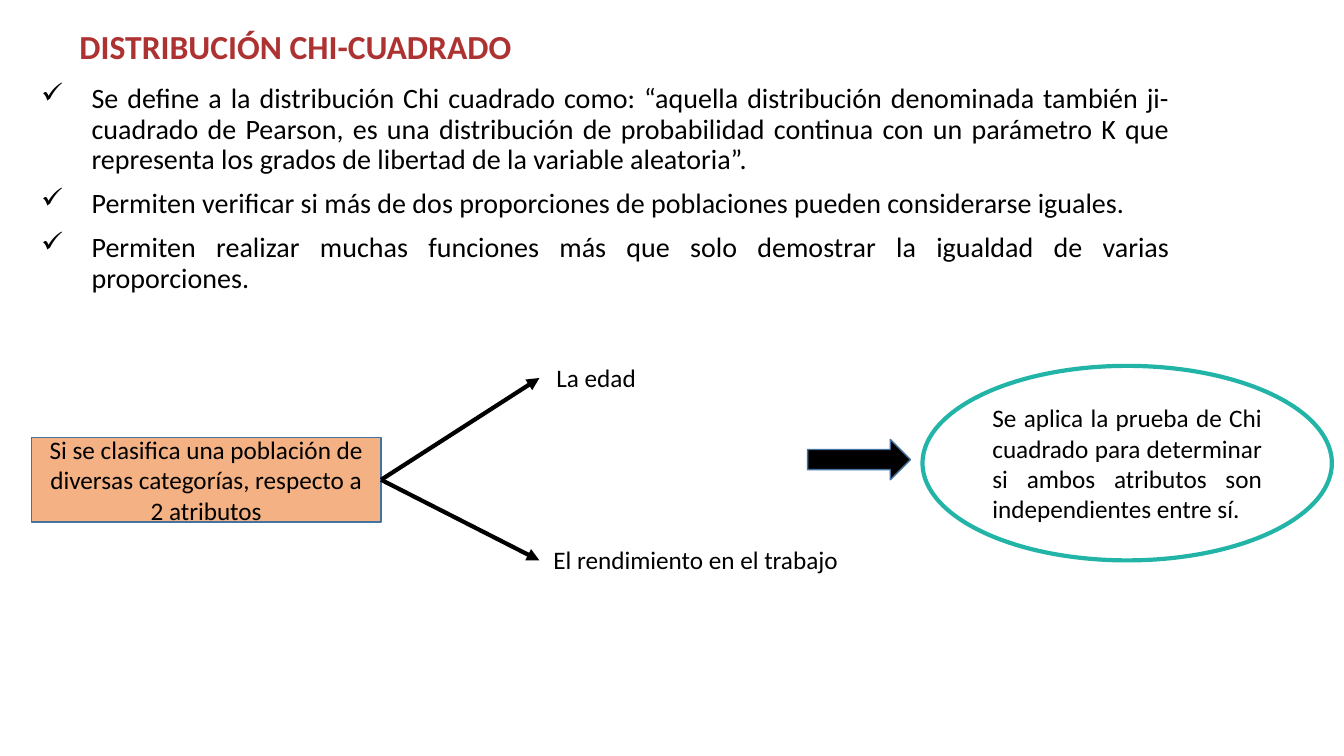
"""Build the slide on the chi-squared distribution."""
from lxml.etree import SubElement
from pptx import Presentation
from pptx.dml.color import RGBColor
from pptx.enum.shapes import MSO_CONNECTOR as Connector, MSO_SHAPE as Preset
from pptx.enum.text import MSO_ANCHOR as Anchor, MSO_AUTO_SIZE as AutoSize, PP_ALIGN as Align
from pptx.oxml.ns import qn
from pptx.util import Pt

PX = 9144
SLIDE_SIZE = (1333, 750)
FONT = "Calibri"
COLORS = {
    "title": "AD3333", "text": "000000", "box": "F4B183", "edge": "43739E",
    "ring": "22B4A6", "paper": "FFFFFF", "arrow": "000000",
}

TITLE = "DISTRIBUCIÓN CHI-CUADRADO"
POINTS = [
    "Se define a la distribución Chi cuadrado como: “aquella distribución denominada "
    "también ji-cuadrado de Pearson, es una distribución de probabilidad continua con un "
    "parámetro K que representa los grados de libertad de la variable aleatoria”.",
    "Permiten verificar si más de dos proporciones de poblaciones pueden considerarse iguales.",
    "Permiten realizar muchas funciones más que solo demostrar la igualdad de varias proporciones.",
]
POPULATION = "Si se clasifica una población de diversas categorías, respecto a 2 atributos"
TEST = ("Se aplica la prueba de Chi cuadrado para determinar si ambos atributos son "
        "independientes entre sí.")

TITLE_AREA = (69, 25, 1150, 108)
POINTS_AREA = (31, 79, 1139, 551)
BOX_AREA = (31, 434, 347, 84)
ATTRIBUTES = [("La edad", (542, 355, 193, 40)),
              ("El rendimiento en el trabajo", (539, 535, 313, 40))]
SHAPES = [
    (Preset.RECTANGLE, BOX_AREA, "box", "edge", 1, POPULATION, Align.CENTER),
    (Preset.OVAL, (915, 363, 406, 193), "paper", "ring", 3, TEST, Align.JUSTIFY),
    (Preset.RIGHT_ARROW, (801, 436, 102, 40), "arrow", "edge", 1, "", Align.CENTER),
]
BRANCH_START = (BOX_AREA[0] + BOX_AREA[2], BOX_AREA[1] + BOX_AREA[3] // 2)
BRANCH_ENDS = [(535, 375), (535, 556)]
BULLET = "✓"
BULLET_INDENT = 50
BODY_FORMAT = {"alignment": Align.JUSTIFY, "line_spacing": 0.9, "space_before": Pt(10)}


def emu(lengths):
    return [length * PX for length in lengths]


def color(name):
    return RGBColor.from_string(COLORS[name])


def write(shape, texts, size=18, ink="text", bold=False, paragraph_format=None):
    frame = shape.text_frame
    frame.word_wrap = True
    for index, text in enumerate(texts):
        paragraph = frame.add_paragraph() if index else frame.paragraphs[0]
        for name, value in (paragraph_format or {}).items():
            setattr(paragraph, name, value)
        run = paragraph.add_run()
        run.text = text
        for name, value in {"name": FONT, "size": Pt(size), "bold": bold}.items():
            setattr(run.font, name, value)
        run.font.color.rgb = color(ink)
    return frame


def add_bullet(paragraph):
    properties = paragraph._p.get_or_add_pPr()
    properties.set("marL", str(BULLET_INDENT * PX))
    properties.set("indent", str(-BULLET_INDENT * PX))
    SubElement(properties, qn("a:buChar")).set("char", BULLET)


def add_figure(slide, preset, area, fill, edge, width, text, alignment):
    shape = slide.shapes.add_shape(preset, *emu(area))
    shape.shadow.inherit = False
    shape.fill.solid()
    shape.fill.fore_color.rgb = color(fill)
    shape.line.color.rgb = color(edge)
    shape.line.width = Pt(width)
    if text:
        frame = write(shape, [text], paragraph_format={"alignment": alignment})
        frame.vertical_anchor = Anchor.MIDDLE


def add_branch(slide, end):
    branch = slide.shapes.add_connector(Connector.STRAIGHT, *emu(BRANCH_START + end))
    branch.line.color.rgb = color("arrow")
    branch.line.width = Pt(3)
    SubElement(branch.line._get_or_add_ln(), qn("a:tailEnd")).set("type", "triangle")
    SubElement(branch._element.spPr, qn("a:effectLst"))


def main():
    presentation = Presentation()
    presentation.slide_width, presentation.slide_height = emu(SLIDE_SIZE)
    slide = presentation.slides.add_slide(presentation.slide_layouts[6])

    title = slide.shapes.add_textbox(*emu(TITLE_AREA))
    write(title, [TITLE], 24, "title", True, {"line_spacing": 0.9})
    points = slide.shapes.add_textbox(*emu(POINTS_AREA))
    for paragraph in write(points, POINTS, 20, paragraph_format=BODY_FORMAT).paragraphs:
        add_bullet(paragraph)

    for text, area in ATTRIBUTES:
        label = slide.shapes.add_textbox(*emu(area))
        write(label, [text]).auto_size = AutoSize.SHAPE_TO_FIT_TEXT
    for figure in SHAPES:
        add_figure(slide, *figure)
    for end in BRANCH_ENDS:
        add_branch(slide, end)
    presentation.save("out.pptx")


if __name__ == "__main__":
    main()
